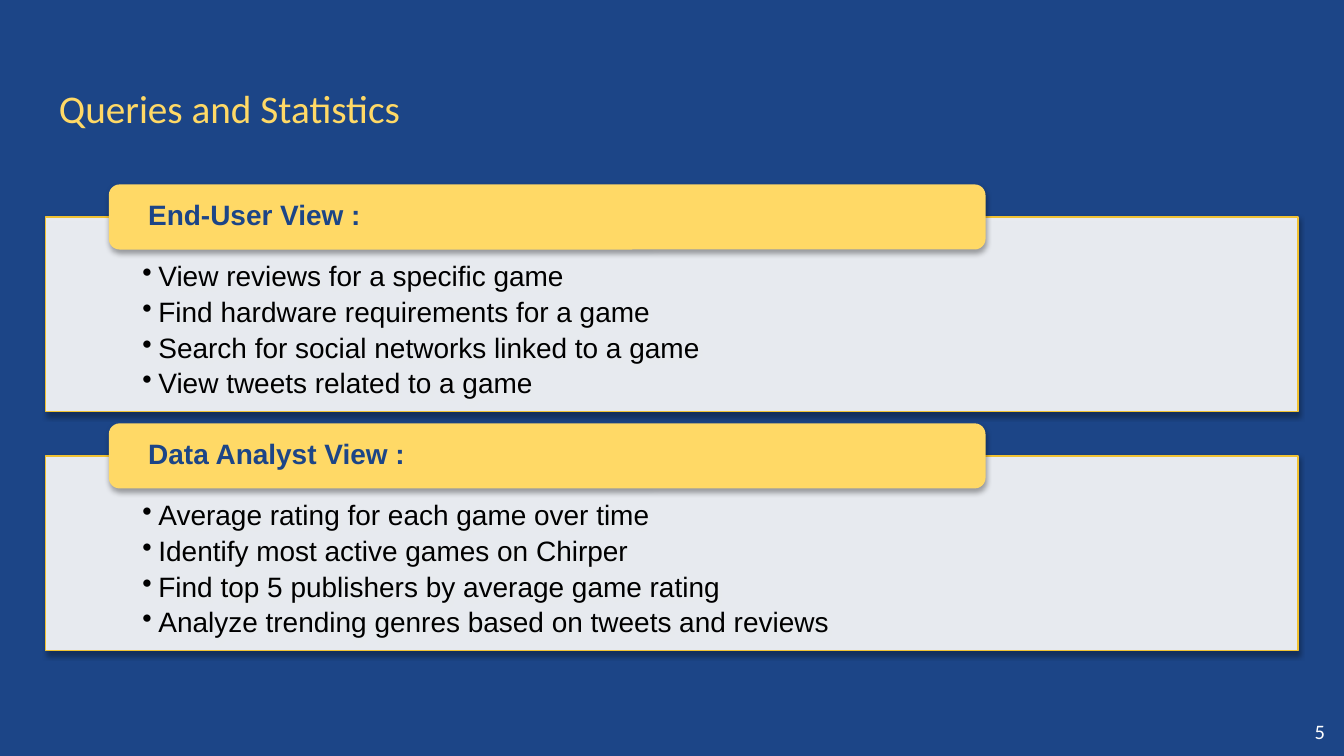
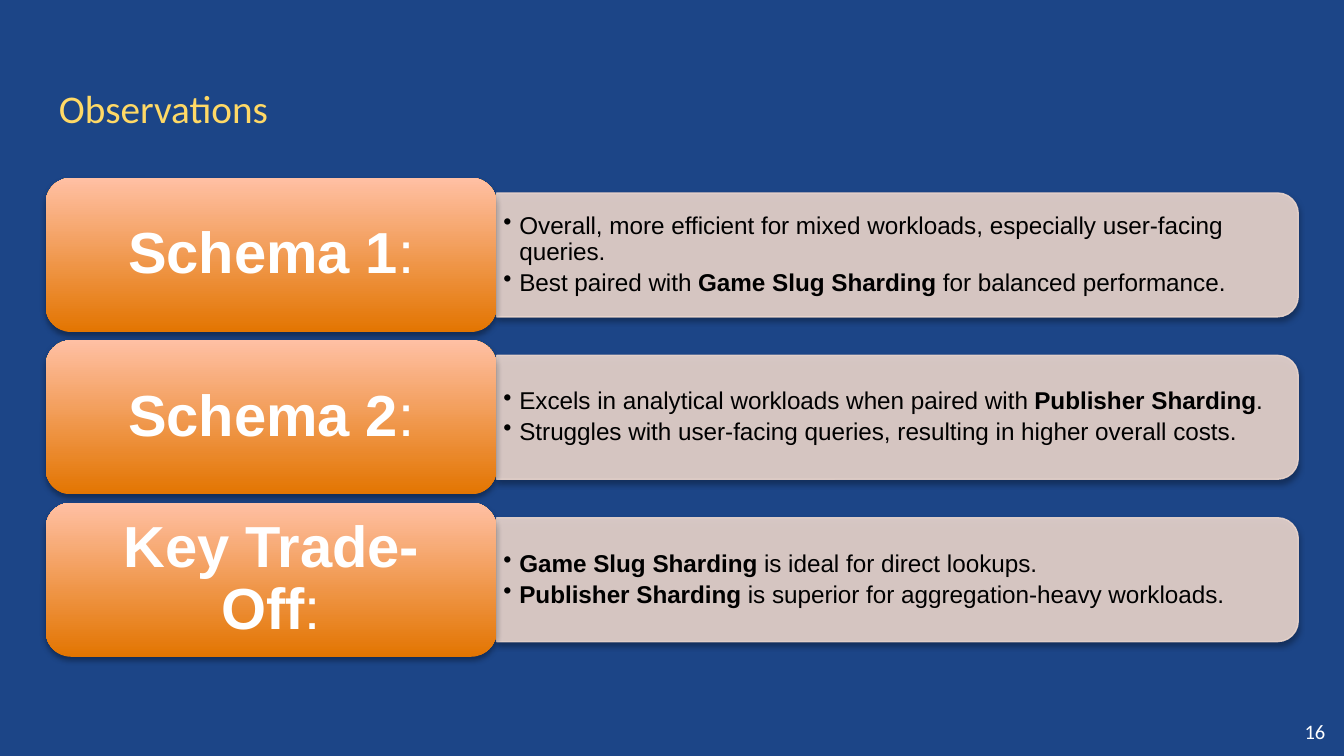
from lxml import etree
from pptx import Presentation
from pptx.dml.color import RGBColor
from pptx.enum.shapes import MSO_SHAPE
from pptx.enum.text import MSO_ANCHOR, PP_ALIGN
from pptx.oxml.ns import qn
from pptx.util import Pt

RECTANGLE = MSO_SHAPE.RECTANGLE
ROUNDED = MSO_SHAPE.ROUNDED_RECTANGLE
TWO_ROUNDED = MSO_SHAPE.ROUND_2_SAME_RECTANGLE
TOP, MIDDLE = MSO_ANCHOR.TOP, MSO_ANCHOR.MIDDLE
LEFT, CENTER = PP_ALIGN.LEFT, PP_ALIGN.CENTER

NAVY = RGBColor(0x1C, 0x45, 0x87)
YELLOW = RGBColor(0xFF, 0xD9, 0x66)
GOLD = RGBColor(0xF1, 0xC2, 0x32)
ORANGE = RGBColor(0xE3, 0x75, 0x01)
PEACH = RGBColor(0xFF, 0xC0, 0xA4)
BEIGE = RGBColor(0xEB, 0xD6, 0xCD)
WHITE = RGBColor(0xFF, 0xFF, 0xFF)
BLACK = RGBColor(0, 0, 0)

HEADING_FONT, BODY_FONT = "Calibri", "Arial"
SLIDE_WIDTH, SLIDE_HEIGHT = 720, 405
MARGIN = 24.5
CONTENT_WIDTH = SLIDE_WIDTH - 2 * MARGIN
BULLET_INDENT = 8.6

VIEWS = [
    ("End-User View :", [
        "View reviews for a specific game",
        "Find hardware requirements for a game",
        "Search for social networks linked to a game",
        "View tweets related to a game",
    ]),
    ("Data Analyst View :", [
        "Average rating for each game over time",
        "Identify most active games on Chirper",
        "Find top 5 publishers by average game rating",
        "Analyze trending genres based on tweets and reviews",
    ]),
]

OBSERVATIONS = [
    ("Schema 1", [
        [("Overall, more efficient for mixed workloads, especially user-facing queries.", False)],
        [("Best paired with ", False), ("Game Slug Sharding", True),
         (" for balanced performance.", False)],
    ]),
    ("Schema 2", [
        [("Excels in analytical workloads when paired with ", False),
         ("Publisher Sharding", True), (".", False)],
        [("Struggles with user-facing queries, resulting in higher overall costs.", False)],
    ]),
    ("Key Trade-Off", [
        [("Game Slug Sharding", True), (" is ideal for direct lookups.", False)],
        [("Publisher Sharding", True),
         (" is superior for aggregation-heavy workloads.", False)],
    ]),
]


def add_element(parent, tag, **attributes):
    element = etree.SubElement(parent, qn(tag))
    for name, value in attributes.items():
        element.set(name, str(value))
    return element


def add_shadow(shape):
    shape.shadow.inherit = False
    effects = shape._element.spPr.find(qn("a:effectLst"))
    shadow = add_element(effects, "a:outerShdw", blurRad=Pt(3.1), dist=Pt(1.8),
                         dir=5400000, algn="ctr", rotWithShape=0)
    color = add_element(shadow, "a:srgbClr", val=BLACK)
    add_element(color, "a:alpha", val=35000)


def make_translucent(color_format):
    for color in color_format.iterfind(qn("a:solidFill") + "/" + qn("a:srgbClr")):
        add_element(color, "a:alpha", val=90000)


def add_box(slide, kind, box, fill=None, line=None):
    shape = slide.shapes.add_shape(kind, *map(Pt, box))
    if fill is not None:
        shape.fill.solid()
        shape.fill.fore_color.rgb = fill
    if line is None:
        shape.line.fill.background()
    else:
        shape.line.color.rgb = line
        shape.line.width = Pt(0.75)
    add_shadow(shape)
    return shape


def set_frame(shape, insets, anchor):
    frame = shape.text_frame
    frame.word_wrap = True
    frame.vertical_anchor = anchor
    frame.margin_left, frame.margin_top, frame.margin_right, frame.margin_bottom = map(Pt, insets)
    return frame


def add_runs(paragraph, runs, size, color, font=BODY_FONT, align=LEFT):
    paragraph.alignment = align
    for text, bold in runs:
        run = paragraph.add_run()
        run.text = text
        run.font.name = font
        run.font.size = Pt(size)
        run.font.bold = bold
        run.font.color.rgb = color


def add_bullets(frame, items, size):
    for index, runs in enumerate(items):
        paragraph = frame.paragraphs[0] if index == 0 else frame.add_paragraph()
        paragraph.level = 1
        paragraph.line_spacing = 0.9
        paragraph.space_after = Pt(size * 0.19)
        properties = paragraph._p.get_or_add_pPr()
        properties.set("marL", str(Pt(BULLET_INDENT)))
        properties.set("indent", str(-Pt(BULLET_INDENT)))
        bullet_color = add_element(properties, "a:buClr")
        add_element(bullet_color, "a:srgbClr", val=BLACK)
        add_element(properties, "a:buChar", char="•")
        add_runs(paragraph, runs, size, BLACK)


def add_text(slide, box, text, size, color, align=LEFT):
    shape = slide.shapes.add_textbox(*map(Pt, box))
    frame = set_frame(shape, [7.2] * 4, MIDDLE)
    add_runs(frame.paragraphs[0], [(text, False)], size, color, HEADING_FONT, align)


def add_base_slide(presentation, title, number, number_width):
    slide = presentation.slides.add_slide(presentation.slide_layouts[6])
    slide.background.fill.solid()
    slide.background.fill.fore_color.rgb = NAVY
    add_text(slide, (MARGIN, 35.3, CONTENT_WIDTH, 45.4), title, 21, YELLOW)
    number_box = (SLIDE_WIDTH - number_width, 378.7, number_width, 26.3)
    add_text(slide, number_box, number, 11, WHITE, CENTER)
    return slide


def add_view_panel(slide, box, heading, items):
    left, top, width, height = box
    panel = add_box(slide, RECTANGLE, box, WHITE, GOLD)
    make_translucent(panel._element.spPr)
    frame = set_frame(panel, (51.8, 24.5, 51.8, 8.6), TOP)
    add_bullets(frame, [[(item, False)] for item in items], 15)

    tab = add_box(slide, ROUNDED, (left + 33.8, top - 17.5, width * 0.7, 34.9), YELLOW)
    frame = set_frame(tab, (19.4, 0, 19.4, 0), MIDDLE)
    frame.paragraphs[0].line_spacing = 0.9
    add_runs(frame.paragraphs[0], [(heading, True)], 15, NAVY)


def add_observation_row(slide, box, label, items):
    left, top, width, height = box
    label_width = width * 0.36
    bar_left, bar_width, bar_height = left + label_width, width - label_width, 66.4
    middle = top + height / 2

    bar_center = bar_left + bar_width / 2
    bar = add_box(slide, TWO_ROUNDED,
                  (bar_center - bar_height / 2, middle - bar_width / 2, bar_height, bar_width),
                  BEIGE, BEIGE)
    bar.rotation = 90
    make_translucent(bar._element.spPr)
    make_translucent(bar.line._ln)

    text_box = (bar_left, middle - 29.9, bar_width - 3, 59.8)
    body = slide.shapes.add_textbox(*map(Pt, text_box))
    add_bullets(set_frame(body, (3.6, 2.2, 3.6, 2.2), MIDDLE), items, 13)

    name = add_box(slide, ROUNDED, (left, top, label_width, height))
    name.fill.gradient()
    name.fill.gradient_angle = 90
    for stop, color in zip(name.fill.gradient_stops, (ORANGE, PEACH)):
        stop.color.rgb = color
    frame = set_frame(name, (13.4, 8.4, 13.4, 8.4), MIDDLE)
    frame.paragraphs[0].line_spacing = 0.9
    add_runs(frame.paragraphs[0], [(label, True), (":", False)], 31, WHITE, align=CENTER)


def build_queries_slide(presentation):
    slide = add_base_slide(presentation, "Queries and Statistics", "5", 26)
    for index, (heading, items) in enumerate(VIEWS):
        add_view_panel(slide, (MARGIN, 116.3 + 128 * index, CONTENT_WIDTH, 104.2),
                       heading, items)


def build_observations_slide(presentation):
    slide = add_base_slide(presentation, "Observations", "16", 31)
    for index, (label, items) in enumerate(OBSERVATIONS):
        add_observation_row(slide, (MARGIN, 95.3 + 87 * index, CONTENT_WIDTH, 82.6),
                            label, items)


def main():
    presentation = Presentation()
    presentation.slide_width = Pt(SLIDE_WIDTH)
    presentation.slide_height = Pt(SLIDE_HEIGHT)
    build_queries_slide(presentation)
    build_observations_slide(presentation)
    presentation.save("out.pptx")


if __name__ == "__main__":
    main()
